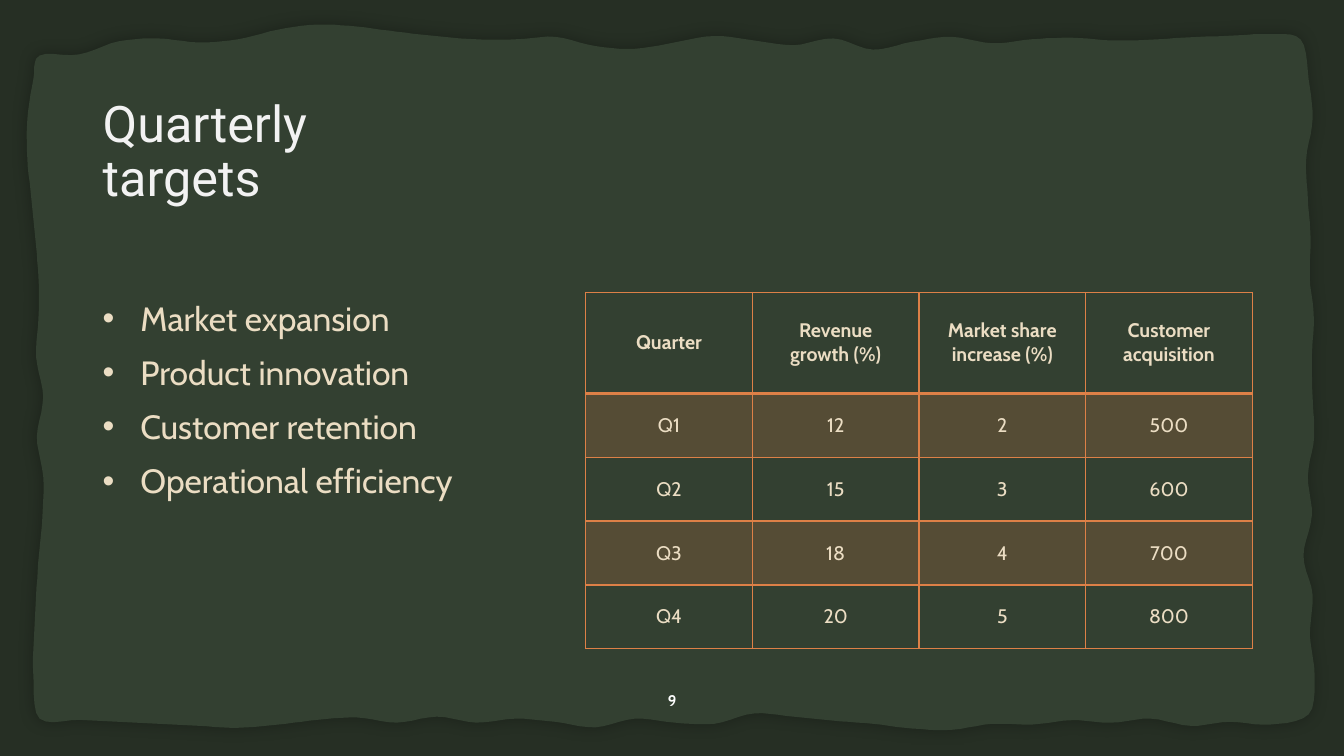
from lxml.etree import SubElement as Sub
from pptx import Presentation
from pptx.dml.color import RGBColor
from pptx.enum.shapes import MSO_SHAPE as Shape
from pptx.enum.text import MSO_ANCHOR as Anchor, PP_ALIGN as Align
from pptx.oxml.ns import qn
from pptx.util import Cm, Pt

# Content
TITLE = "Quarterly\vtargets"
GOALS = ["Market expansion", "Product innovation",
         "Customer retention", "Operational efficiency"]
HEAD = ["Quarter", "Revenue\vgrowth (%)", "Market share increase (%)",
        "Customer acquisition"]
ROWS = [
    ("Q1", 12, 2, 500),
    ("Q2", 15, 3, 600),
    ("Q3", 18, 4, 700),
    ("Q4", 20, 5, 800),
]
PAGE = "9"

# Torn paper: margin to each slide edge, one value per cm, in tenths of a mm
TORN = {
    "top": [140, 137, 104, 97, 107, 99, 75, 62, 67, 80, 91, 99, 99, 93, 116,
            123, 107, 91, 102, 114, 97, 125, 105, 93, 109, 99, 95, 102, 100,
            94, 90, 86],
    "right": [109, 89, 79, 95, 91, 84, 86, 76, 81, 79, 75, 91, 81, 102, 79,
              86, 74, 89],
    "bottom": [94, 91, 86, 81, 76, 71, 79, 91, 97, 84, 99, 84, 94, 86, 72,
               94, 84, 81, 107, 99, 89, 81, 69, 66, 81, 79, 90, 84, 94, 76,
               86, 79],
    "left": [84, 69, 69, 79, 89, 97, 97, 91, 109, 93, 109, 107, 98, 91, 86,
             84],
}
UNIT = 100          # tenths of a mm in one cm
STEPS = 5           # short lines drawn between two margin values

# Look
WIDE, HIGH = 33.87, 19.05
GREEN = RGBColor(0x33, 0x40, 0x31)
BLACK = RGBColor(0, 0, 0)
LIGHT = RGBColor(0xF2, 0xF2, 0xF2)
CREAM = RGBColor(0xEB, 0xDD, 0xC3)
RUST = RGBColor(0xDD, 0x80, 0x47)
WHITE = RGBColor(0xFF, 0xFF, 0xFF)


def outline():
    """Turn the margins into points, clockwise from the top left."""
    right, bottom = WIDE * UNIT, HIGH * UNIT
    top = [(k * UNIT, m) for k, m in enumerate(TORN["top"], 1)]
    east = [(right - m, k * UNIT) for k, m in enumerate(TORN["right"], 1)]
    low = [(k * UNIT, bottom - m) for k, m in enumerate(TORN["bottom"], 1)]
    west = [(m, k * UNIT) for k, m in enumerate(TORN["left"], 2)]
    return top + east + low[::-1] + west[::-1]


def blend(a, b, c, d, t):
    """Catmull-Rom curve: runs from b to c as t goes from 0 to 1."""
    return (2 * b + (c - a) * t + (2 * a - 5 * b + 4 * c - d) * t ** 2
            + (3 * b - a - 3 * c + d) * t ** 3) / 2


def smooth(points):
    """Round off a closed outline."""
    curve = []
    for i in range(len(points)):
        near = [points[(i + k) % len(points)] for k in (-1, 0, 1, 2)]
        xs, ys = zip(*near)
        for step in range(STEPS):
            t = step / STEPS
            curve.append((blend(*xs, t), blend(*ys, t)))
    return curve


def tint(parent, color, alpha=100):
    """Add a colour element, see-through when alpha is below 100."""
    tone = Sub(parent, qn("a:srgbClr"), val=str(color))
    if alpha < 100:
        Sub(tone, qn("a:alpha"), val=str(alpha * 1000))


def plain(shape, color):
    """Flat fill, no line, no shadow."""
    shape.shadow.inherit = False
    shape.line.fill.background()
    shape.fill.solid()
    shape.fill.fore_color.rgb = color


def bullet(par, indent):
    props = par._p.get_or_add_pPr()
    props.set("marL", str(indent))
    props.set("indent", str(-indent))
    Sub(props, qn("a:buFont"), typeface="Arial")
    Sub(props, qn("a:buChar"), char="•")


def write(frame, lines, size=14, font="Cabin", color=CREAM, bold=False,
          align=Align.LEFT, anchor=Anchor.TOP, space=None, gap=0, dots=False):
    frame.word_wrap = True
    frame.vertical_anchor = anchor
    for i, line in enumerate(lines):
        par = frame.paragraphs[0] if i == 0 else frame.add_paragraph()
        par.text = line
        par.alignment = align
        if space:
            par.line_spacing = space
        if i and gap:
            par.space_before = Pt(gap)
        if dots:
            bullet(par, Cm(0.95))
        for run in par.runs:
            run.font.size, run.font.name = Pt(size), font
            run.font.bold, run.font.color.rgb = bold, color


def box(left, top, width, height):
    area = slide.shapes.add_textbox(Cm(left), Cm(top), Cm(width), Cm(height))
    return area.text_frame


def style(cell, head, band):
    """Rust borders, heavier under the head; a faint fill on banded rows."""
    props = cell._tc.get_or_add_tcPr()
    for side in "LRTB":
        width = Pt(2 if head and side == "B" else 1)
        line = Sub(props, qn("a:ln" + side), w=str(width))
        tint(Sub(line, qn("a:solidFill")), RUST)
    if band:
        tint(Sub(props, qn("a:solidFill")), RUST, 20)
    else:
        cell.fill.background()


deck = Presentation()
deck.slide_width, deck.slide_height = Cm(WIDE), Cm(HIGH)
slide = deck.slides.add_slide(deck.slide_layouts[6])
slide.background.fill.solid()
slide.background.fill.fore_color.rgb = GREEN

# Dark border
shade = slide.shapes.add_shape(Shape.RECTANGLE, 0, 0, Cm(WIDE), Cm(HIGH))
plain(shade, BLACK)
fill = shade._element.spPr.find(qn("a:solidFill"))
fill.clear()
tint(fill, BLACK, 25)

# Torn paper with a soft shadow
rim = smooth(outline())
pen = slide.shapes.build_freeform(*rim[0], scale=Cm(1) / UNIT)
pen.add_line_segments(rim[1:], close=True)
paper = pen.convert_to_shape()
plain(paper, GREEN)
effects = paper._element.spPr.find(qn("a:effectLst"))
glow = Sub(effects, qn("a:outerShdw"), blurRad=str(Pt(10)), dist="0", dir="0",
           algn="ctr", rotWithShape="0")
tint(glow, BLACK, 26)

# Title, goals and page number
write(box(2.34, 2.36, 29.21, 3.84), [TITLE], size=36, font="Roboto",
      color=LIGHT, space=0.9)
write(box(2.34, 7.37, 11.38, 8.84), GOALS, size=24, gap=10, dots=True)
write(box(16.18, 17.15, 1.52, 1.02), [PAGE], size=11, color=WHITE, bold=True,
      align=Align.CENTER, anchor=Anchor.MIDDLE)

# Targets table
COL, TALL, LOW = 4.2, 2.54, 1.61
data = [HEAD] + ROWS
grid = slide.shapes.add_table(
    len(data), len(HEAD), Cm(14.76), Cm(7.37),
    Cm(COL * len(HEAD)), Cm(TALL + LOW * len(ROWS))).table
grid.first_row = grid.horz_banding = False
for col in grid.columns:
    col.width = Cm(COL)
for r, row in enumerate(data):
    head = r == 0
    grid.rows[r].height = Cm(TALL if head else LOW)
    for c, value in enumerate(row):
        cell = grid.cell(r, c)
        write(cell.text_frame, [str(value)], bold=head, align=Align.CENTER)
        cell.vertical_anchor = Anchor.MIDDLE
        style(cell, head, band=r % 2 == 1)

deck.save("out.pptx")
